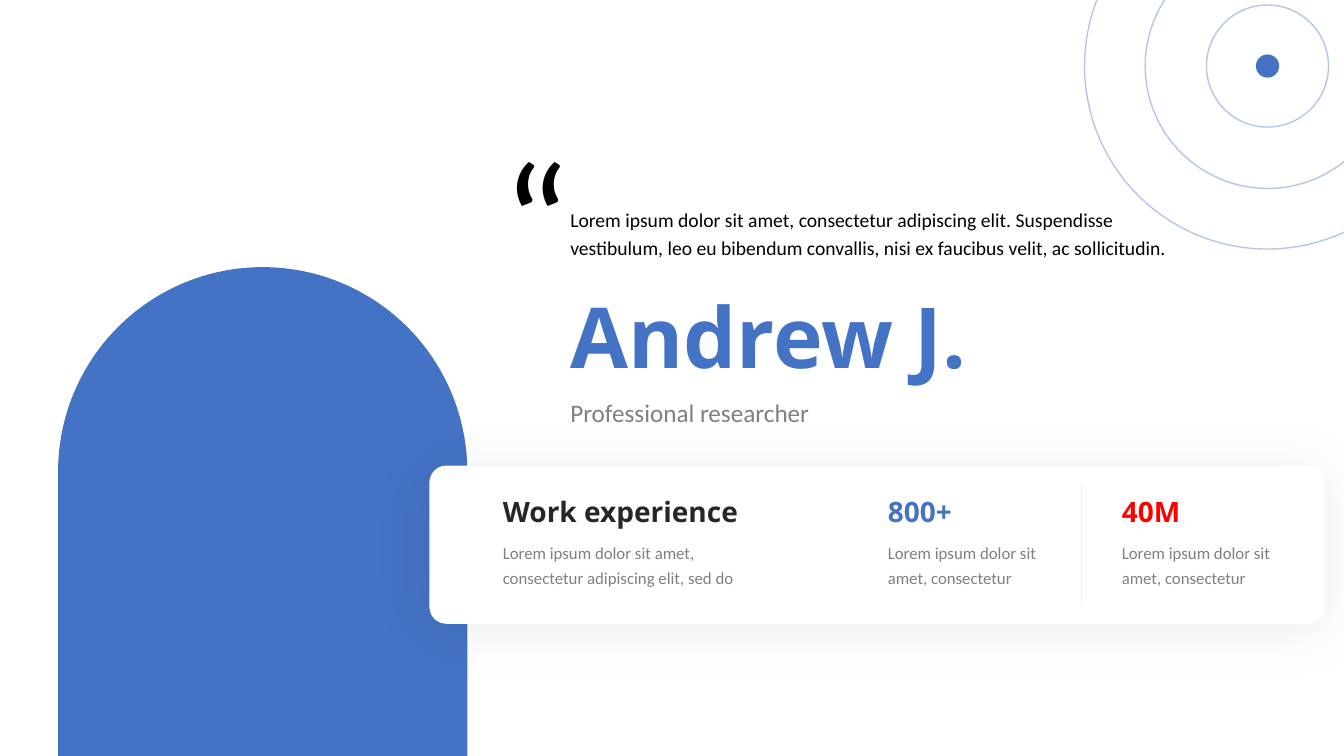
"""Build a profile slide with a quote, a name and a card of key figures."""
from lxml import etree
from pptx import Presentation
from pptx import util as u
from pptx.dml.color import RGBColor
from pptx.enum import shapes, text
from pptx.oxml.ns import qn

COLOURS = {"blue": "4472C4", "black": "000000", "dark": "262626", "grey": "808080",
           "red": "FF0000", "white": "FFFFFF", "rule": "F2F2F2"}
FORMATS = {
    "quote": {"size": 14, "name": "Calibri", "colour": "black", "spacing": 1.2},
    "mark": {"size": 115, "name": "Calibri", "colour": "black"},
    "name": {"size": 60, "name": "Open Sans", "colour": "blue", "bold": True},
    "role": {"size": 18, "name": "Calibri", "colour": "grey"},
    "heading": {"size": 20, "name": "Open Sans", "bold": True},
    "detail": {"size": 12, "name": "Calibri", "colour": "grey", "spacing": 1.2},
}
NAME = ("Andrew J.", (400.3, 199.4, 308.9, 79.9))
INTRODUCTION = [
    ("Lorem ipsum dolor sit amet, consectetur adipiscing elit. Suspendisse vestibulum, "
     "leo eu bibendum convallis, nisi ex faucibus velit, ac sollicitudin.",
     (400.3, 141.8, 451.4, 46.8), "quote"),
    ("“", (352.1, 80.6, 63.4, 146.9), "mark"),
    ("Professional researcher", (400.3, 280.1, 193.7, 28.8), "role"),
]
FIGURES = [
    ("Work experience", "dark", "Lorem ipsum dolor sit amet, consectetur adipiscing elit, sed do",
     352.1, 190.8, 211),
    ("800+", "blue", "Lorem ipsum dolor sit amet, consectetur", 627.1, 111.6, 146.9),
    ("40M", "red", "Lorem ipsum dolor sit amet, consectetur", 794.2, 111.6, 146.9),
]
HEADING_TOP, HEADING_HEIGHT = 349.9, 31.7
DETAIL_TOP, DETAIL_HEIGHT = 381.6, 41
ARCH = (41.5, 190.8, 292.3, 349.2)
CARD = (306.7, 332.6, 639.4, 113)
DIVIDER = (772.6, 346.3, 772.6, 432.7)
CIRCLE_CENTRE = (905.4, 47.2)
DOT_RADIUS, RING_RADII = 8.3, (43.6, 87.4, 130.7)


def points(values):
    return [u.Pt(value) for value in values]


def rgb(colour):
    return RGBColor.from_string(COLOURS[colour])


def write(shape, words, style, colour=None):
    values = FORMATS[style]
    frame = shape.text_frame
    settings = {"word_wrap": style != "mark", "auto_size": text.MSO_AUTO_SIZE.NONE,
                "vertical_anchor": text.MSO_ANCHOR.TOP}
    for key, value in settings.items():
        setattr(frame, key, value)
    frame.text = words
    paragraph = frame.paragraphs[0]
    paragraph.alignment = text.PP_ALIGN.LEFT
    paragraph.line_spacing = values.get("spacing", 1.0)
    font = paragraph.runs[0].font
    for key, value in {"size": u.Pt(values["size"]), "name": values["name"],
                       "bold": values.get("bold", False)}.items():
        setattr(font, key, value)
    font.color.rgb = rgb(colour or values["colour"])


def add_text(parent, words, box, style, colour=None):
    write(parent.add_textbox(*points(box)), words, style, colour)


def add_filled(parent, kind, box, colour):
    shape = parent.add_shape(kind, *points(box))
    shape.shadow.inherit = False
    shape.fill.solid()
    shape.fill.fore_color.rgb = rgb(colour)
    shape.line.fill.background()
    return shape


def add_alpha(colour_element, percent):
    etree.SubElement(colour_element, qn("a:alpha"), val=str(percent * 1000))


def circle_box(radius):
    x, y = CIRCLE_CENTRE
    return x - radius, y - radius, 2 * radius, 2 * radius


def add_card(slide):
    group = slide.shapes.add_group_shape().shapes
    card = add_filled(group, shapes.MSO_SHAPE.ROUNDED_RECTANGLE, CARD, "white")
    card.adjustments[0] = 0.107
    effects = card._element.spPr.find(qn("a:effectLst"))
    shadow = etree.SubElement(effects, qn("a:outerShdw"), blurRad=str(u.Pt(45)),
                              dist=str(u.Pt(4)), dir="5400000", algn="t", rotWithShape="0")
    add_alpha(etree.SubElement(shadow, qn("a:srgbClr"), val=COLOURS["black"]), 7)
    divider = group.add_connector(shapes.MSO_CONNECTOR.STRAIGHT, *points(DIVIDER))
    divider.line.color.rgb = rgb("rule")
    divider.line.width = u.Pt(0.5)
    etree.SubElement(divider._element.spPr, qn("a:effectLst"))
    for heading, colour, detail, left, heading_width, detail_width in FIGURES:
        add_text(group, heading, (left, HEADING_TOP, heading_width, HEADING_HEIGHT),
                 "heading", colour)
        add_text(group, detail, (left, DETAIL_TOP, detail_width, DETAIL_HEIGHT), "detail")


def add_circles(slide):
    group = slide.shapes.add_group_shape().shapes
    add_filled(group, shapes.MSO_SHAPE.OVAL, circle_box(DOT_RADIUS), "blue")
    for radius in RING_RADII:
        ring = group.add_shape(shapes.MSO_SHAPE.OVAL, *points(circle_box(radius)))
        ring.shadow.inherit = False
        ring.fill.background()
        ring.line.color.rgb = rgb("blue")
        ring.line.width = u.Pt(1)
        add_alpha(ring.line._ln.find(".//" + qn("a:srgbClr")), 40)


def main():
    presentation = Presentation()
    presentation.slide_width, presentation.slide_height = points((960, 540))
    slide = presentation.slides.add_slide(presentation.slide_layouts[5])
    arch = add_filled(slide.shapes, shapes.MSO_SHAPE.ROUND_2_SAME_RECTANGLE, ARCH, "blue")
    arch.adjustments[0] = 0.5
    arch.adjustments[1] = 0
    title = slide.shapes.title
    words, box = NAME
    for key, value in zip(("left", "top", "width", "height"), points(box)):
        setattr(title, key, value)
    write(title, words, "name")
    for words, box, style in INTRODUCTION:
        add_text(slide.shapes, words, box, style)
    add_card(slide)
    add_circles(slide)
    presentation.save("out.pptx")


if __name__ == "__main__":
    main()
